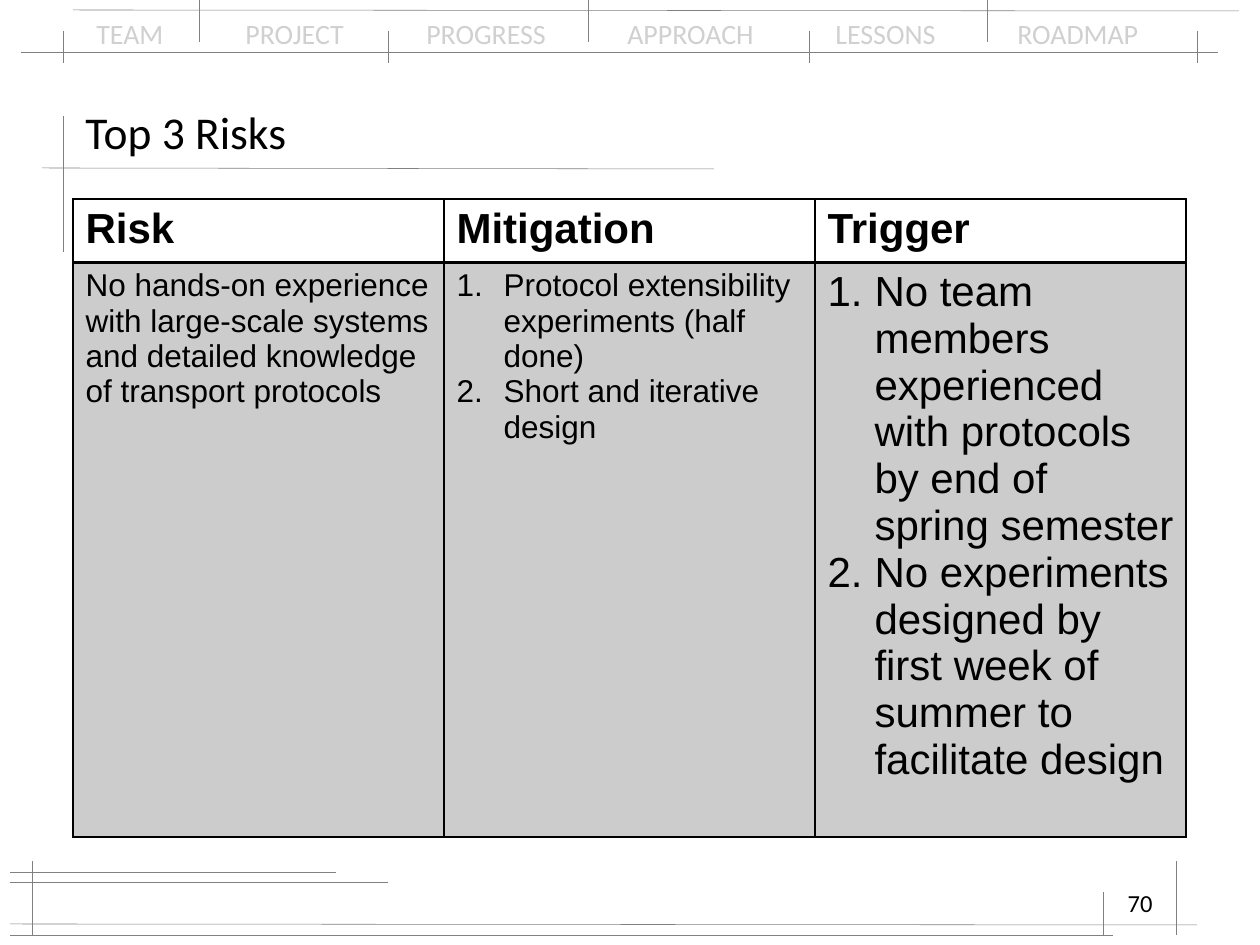
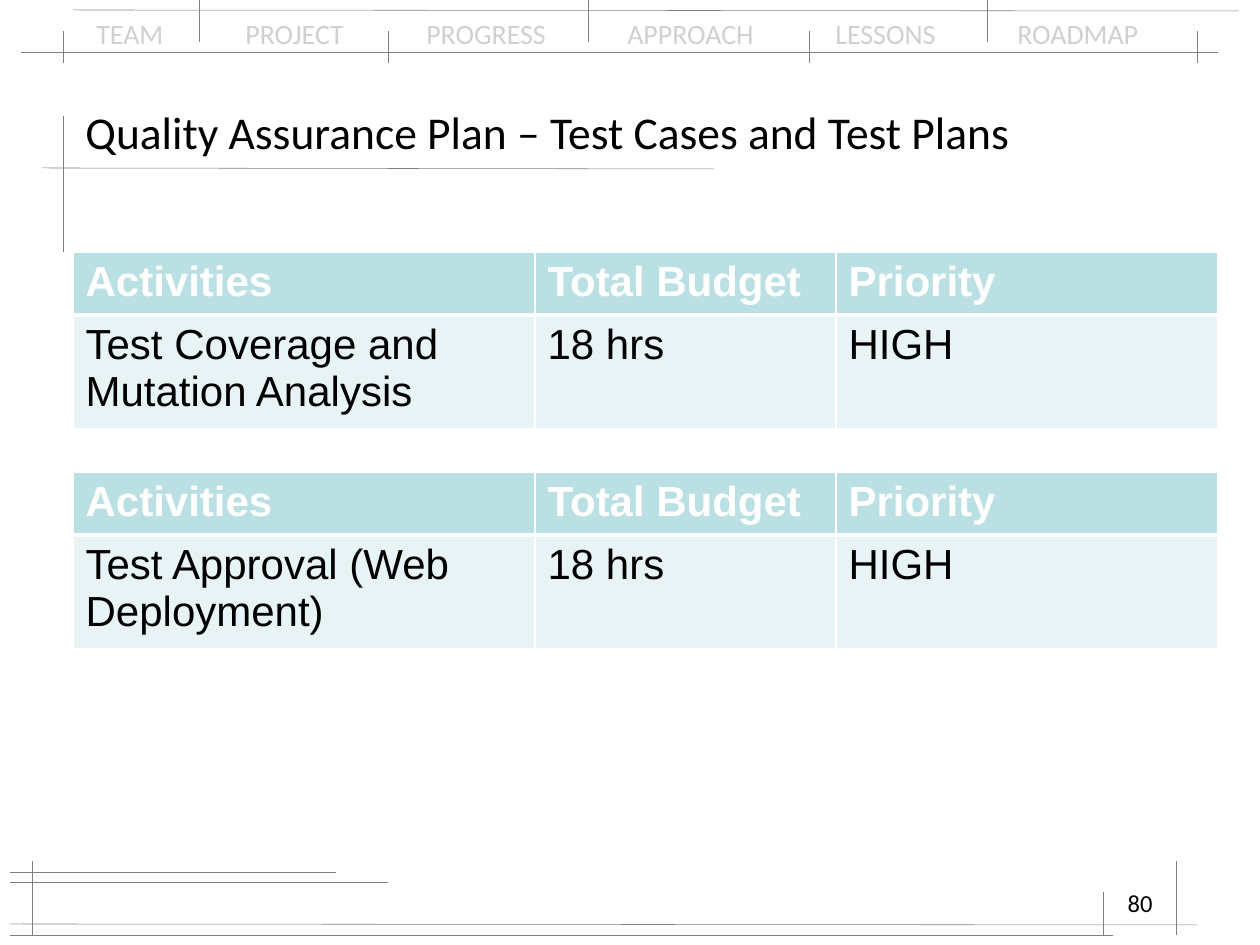
"""Builds two project review slides: top risks and the test plan budget."""
from lxml import etree
from pptx import Presentation
from pptx import util as u
from pptx.dml.color import RGBColor
from pptx.enum import shapes, text
from pptx.oxml import ns

SCALE = 914400 / 126
COLOURS = {"ink": "000000", "paper": "FFFFFF", "nav": "D0D0D0", "rule": "808080",
           "head": "BBE0E3", "body": "E7F3F4"}
NAV_LOOK = {"name": "Calibri", "size": u.Pt(16), "colour": "nav"}
TITLE_LOOK = {"name": "Calibri", "size": u.Pt(26), "colour": "ink"}
NUMBER_LOOK = {"name": "Calibri", "size": u.Pt(14), "colour": "ink"}
HEAD_LOOK = {"name": "Arial", "size": u.Pt(24), "bold": True}
BODY_LOOK = {"name": "Arial", "bold": False, "colour": "ink"}

NAV_WORDS = ["TEAM", "PROJECT", "PROGRESS", "APPROACH", "LESSONS", "ROADMAP"]
NAV_STOPS = [149, 330, 531, 739, 921]
RULES = [
    (21, 52, 1218, 52), (73, 10, 1239, 11),
    (63, 116, 63, 252), (42, 168, 714, 169),
    (10, 882, 388, 882), (10, 924, 1197, 925), (32, 861, 32, 935),
    (10, 872, 336, 872), (10, 935, 1113, 935), (1176, 861, 1176, 935), (1103, 892, 1103, 935),
]
RULES += [(x, 31, x, 63) for x in (63, 388, 809, 1197)]
RULES += [(x, -31, x, 42) for x in (199, 588, 987)]

RISK_STYLE = {"columns": [371, 371, 371], "head_fill": None, "body_fill": "ink", "alpha": 20,
              "head_ink": "ink", "border": "ink", "divider": 2}
BUDGET_STYLE = {"columns": [462, 301, 382], "head_fill": "head", "body_fill": "body", "alpha": 100,
                "head_ink": "paper", "border": "paper", "divider": 3}
BUDGET_HEADS = ["Activities", "Total Budget", "Priority"]
SLIDES = [
    {"title": "Top 3 Risks", "number": "70", "tables": [
        {"top": 199, "heights": [60, 575], "style": RISK_STYLE, "sizes": [18, 18, 24],
         "heads": ["Risk", "Mitigation", "Trigger"],
         "body": [
             ["No hands-on experience with large-scale systems and detailed knowledge "
              "of transport protocols"],
             ["Protocol extensibility experiments (half done)", "Short and iterative design"],
             ["No team members experienced with protocols by end of spring semester",
              "No experiments designed by first week of summer to facilitate design"]]}]},
    {"title": "Quality Assurance Plan – Test Cases and Test Plans", "number": "80", "tables": [
        {"top": top, "heights": [59, 106], "style": BUDGET_STYLE, "sizes": [24, 24, 24],
         "heads": BUDGET_HEADS, "body": [[activity], ["18 hrs"], ["HIGH"]]}
        for top, activity in [(252, "Test Coverage and Mutation Analysis"),
                              (472, "Test Approval (Web Deployment)")]]},
]


def px(*lengths):
    """Turn pixel lengths into EMU."""
    return [u.Emu(round(length * SCALE)) for length in lengths]


def write(frame, lines, look, align=text.PP_ALIGN.LEFT):
    """Fill a frame with formatted lines, numbered when there are several."""
    frame.word_wrap = True
    for index, line in enumerate(lines):
        paragraph = frame.paragraphs[0] if index == 0 else frame.add_paragraph()
        paragraph.alignment = align
        if len(lines) > 1:
            properties = paragraph._p.get_or_add_pPr()
            indent = px(47)[0]
            properties.set("marL", str(indent))
            properties.set("indent", str(-indent))
            etree.SubElement(properties, ns.qn("a:buFont"), typeface="+mj-lt")
            etree.SubElement(properties, ns.qn("a:buAutoNum"), type="arabicPeriod")
        run = paragraph.add_run()
        run.text = line
        for key, value in look.items():
            if key == "colour":
                run.font.color.rgb = RGBColor.from_string(COLOURS[value])
            else:
                setattr(run.font, key, value)


deck = Presentation()
deck.slide_width, deck.slide_height = px(1260, 945)

for content in SLIDES:
    slide = deck.slides.add_slide(deck.slide_layouts[6])

    nav = slide.shapes.add_textbox(*px(84, 10, 1092, 47)).text_frame
    stops = etree.SubElement(nav.paragraphs[0]._p.get_or_add_pPr(), ns.qn("a:tabLst"))
    for stop in px(*NAV_STOPS):
        etree.SubElement(stops, ns.qn("a:tab"), pos=str(stop), algn="l")
    write(nav, ["\t".join(NAV_WORDS)], NAV_LOOK)

    for ends in RULES:
        rule = slide.shapes.add_connector(shapes.MSO_CONNECTOR.STRAIGHT, *px(*ends))
        rule.line.color.rgb = RGBColor.from_string(COLOURS["rule"])
        rule.line.width = u.Pt(0.3)
        etree.SubElement(rule._element.spPr, ns.qn("a:effectLst"))

    title = slide.shapes.add_textbox(*px(73, 94, 1113, 74)).text_frame
    title.vertical_anchor = text.MSO_ANCHOR.MIDDLE
    write(title, [content["title"]], TITLE_LOOK)

    for plan in content["tables"]:
        style = plan["style"]
        grid = slide.shapes.add_table(2, 3, *px(
            73, plan["top"], sum(style["columns"]), sum(plan["heights"]))).table
        grid.horz_banding = False
        for column, width in zip(grid.columns, px(*style["columns"])):
            column.width = width
        for row, height in zip(grid.rows, px(*plan["heights"])):
            row.height = height

        for column in range(3):
            head, body = grid.cell(0, column), grid.cell(1, column)
            write(head.text_frame, [plan["heads"][column]],
                  HEAD_LOOK | {"colour": style["head_ink"]})
            write(body.text_frame, plan["body"][column],
                  BODY_LOOK | {"size": u.Pt(plan["sizes"][column])})

            for cell, fill, thick in [(head, style["head_fill"], "lnB"),
                                      (body, style["body_fill"], "lnT")]:
                if fill is None:
                    cell.fill.background()
                else:
                    cell.fill.solid()
                    cell.fill.fore_color.rgb = RGBColor.from_string(COLOURS[fill])
                properties = cell._tc.get_or_add_tcPr()
                if cell is body and style["alpha"] < 100:
                    tint = properties.find(".//" + ns.qn("a:srgbClr"))
                    etree.SubElement(tint, ns.qn("a:alpha"), val=str(style["alpha"] * 1000))
                for place, side in enumerate(["lnL", "lnR", "lnT", "lnB"]):
                    weight = style["divider"] if side == thick else 1
                    edge = etree.Element(ns.qn("a:" + side), w=str(u.Pt(weight)))
                    paint = etree.SubElement(edge, ns.qn("a:solidFill"))
                    etree.SubElement(paint, ns.qn("a:srgbClr"), val=COLOURS[style["border"]])
                    properties.insert(place, edge)

    number = slide.shapes.add_textbox(*px(903, 882, 262, 63)).text_frame
    write(number, [content["number"]], NUMBER_LOOK, text.PP_ALIGN.RIGHT)

deck.save("out.pptx")
